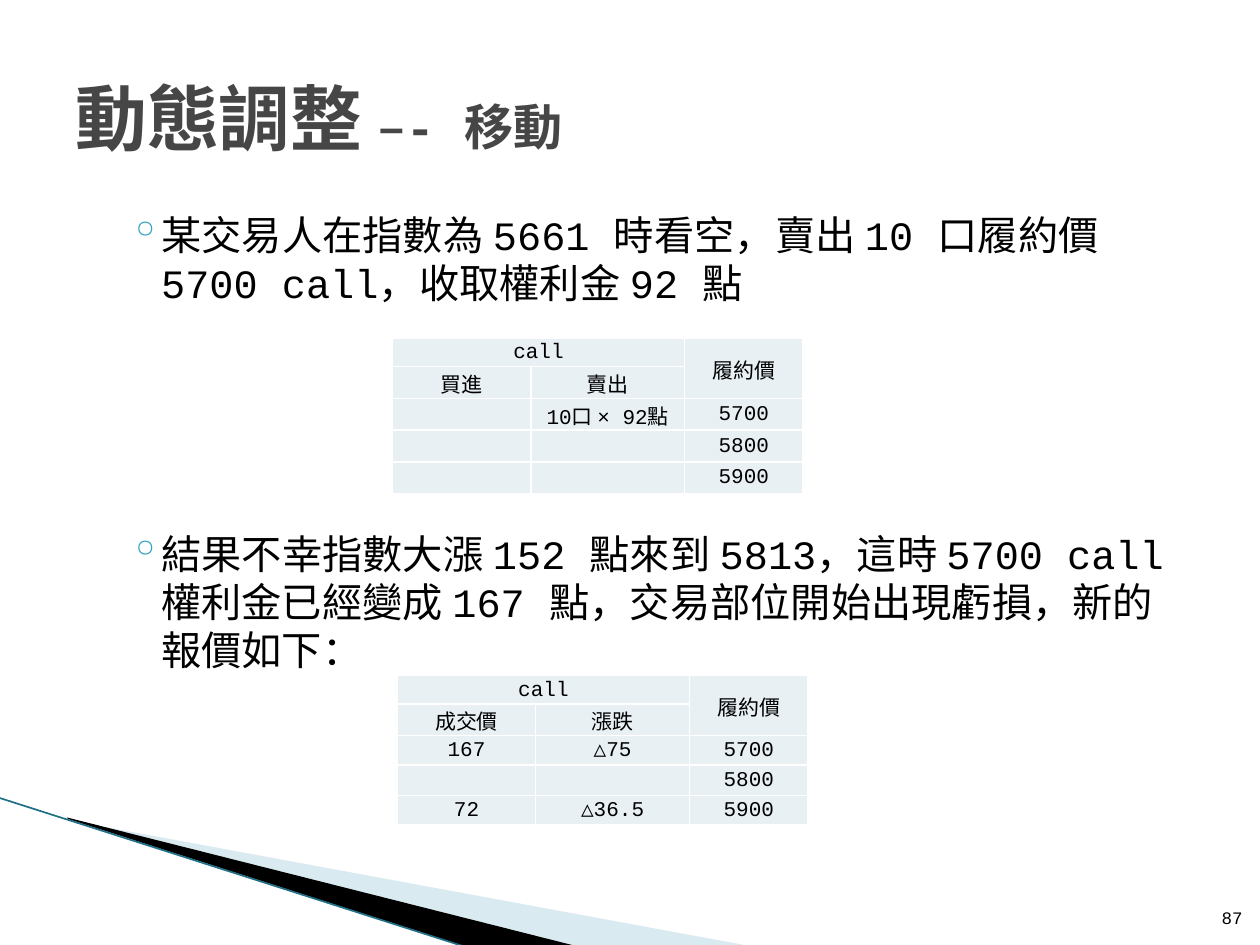
from lxml import etree
from pptx import Presentation, util as u
from pptx.dml.color import RGBColor
from pptx.enum import shapes, text
from pptx.oxml import ns

FONT = "Courier New"
COLORS = {
    "title": "464646",
    "text": "000000",
    "bullet": "2DA2BF",
    "cell": "E8F0F4",
    "pale": "A0CBDC",
    "wedge": "000000",
    "edge": "1F7086",
}
COLUMN_WIDTHS = [2.79, 3.1, 2.39]
POSITION_ROWS = [
    ["call", "", "履約價"],
    ["買進", "賣出", ""],
    ["", "10口 × 92點", "5700"],
    ["", "", "5800"],
    ["", "", "5900"],
]
QUOTE_ROWS = [
    ["call", "", "履約價"],
    ["成交價", "漲跌", ""],
    ["167", "△75", "5700"],
    ["", "", "5800"],
    ["72", "△36.5", "5900"],
]
STATEMENTS = [
    "某交易人在指數為 5661 時看空，賣出 10 口履約價 5700 call，收取權利金 92 點",
    "結果不幸指數大漲 152 點來到 5813，這時 5700 call 權利金已經變成 167 點，"
    "交易部位開始出現虧損，新的報價如下：",
]


def color(name):
    return RGBColor.from_string(COLORS[name])


def add_child(parent, tag, **attributes):
    return etree.SubElement(parent, ns.qn(tag), attributes)


def write(paragraph, words, size=12, ink="text", bold=False, align=None):
    if align is not None:
        paragraph.alignment = align
    run = paragraph.add_run()
    run.text = words
    run.font.name = FONT
    run.font.size = u.Pt(size)
    run.font.bold = bold
    run.font.color.rgb = color(ink)


def add_box(slide, left, top, width, height, anchor):
    shape = slide.shapes.add_textbox(u.Cm(left), u.Cm(top), u.Cm(width), u.Cm(height))
    frame = shape.text_frame
    frame.word_wrap = True
    frame.vertical_anchor = anchor
    return frame


def add_bullet(paragraph):
    properties = paragraph._p.get_or_add_pPr()
    properties.set("marL", str(u.Cm(1.73)))
    properties.set("indent", str(u.Cm(-0.64)))
    bullet_color = add_child(properties, "a:buClr")
    add_child(bullet_color, "a:srgbClr", val=COLORS["bullet"])
    add_child(properties, "a:buChar", char="◦")


def add_wedge(slide, points, fill, alpha=None):
    corners = [(u.Cm(x), u.Cm(y)) for x, y in points]
    builder = slide.shapes.build_freeform(*corners[0])
    builder.add_line_segments(corners[1:], close=True)
    shape = builder.convert_to_shape()
    shape.shadow.inherit = False
    shape.fill.solid()
    shape.fill.fore_color.rgb = color(fill)
    shape.line.fill.background()
    if alpha is not None:
        paint = shape._element.spPr.find(".//" + ns.qn("a:srgbClr"))
        add_child(paint, "a:alpha", val=str(alpha * 1000))


def add_edge(slide, start, end):
    line = slide.shapes.add_connector(
        shapes.MSO_CONNECTOR.STRAIGHT, *[u.Cm(value) for value in start + end])
    line.line.color.rgb = color("edge")
    line.line.width = u.Pt(0.95)
    add_child(line._element.spPr, "a:effectLst")


def fill_cell(cell, words):
    cell.fill.solid()
    cell.fill.fore_color.rgb = color("cell")
    cell.vertical_anchor = text.MSO_ANCHOR.MIDDLE
    cell.margin_left = cell.margin_right = cell.margin_top = u.Cm(0.03)
    cell.margin_bottom = 0
    paragraph = cell.text_frame.paragraphs[0]
    if words:
        write(paragraph, words, align=text.PP_ALIGN.CENTER)
    else:
        add_child(paragraph._p, "a:endParaRPr", sz="1200")


def add_price_table(slide, left, top, rows, heights):
    shape = slide.shapes.add_table(
        len(rows), len(COLUMN_WIDTHS), u.Cm(left), u.Cm(top),
        u.Cm(sum(COLUMN_WIDTHS)), u.Cm(sum(heights)))
    table = shape.table
    table.first_row = table.horz_banding = False
    for column, width in zip(table.columns, COLUMN_WIDTHS):
        column.width = u.Cm(width)
    for row, height, values in zip(table.rows, heights, rows):
        row.height = u.Cm(height)
        for cell, words in zip(row.cells, values):
            fill_cell(cell, words)
    table.cell(0, 0).merge(table.cell(0, 1))
    table.cell(0, 2).merge(table.cell(1, 2))


def main():
    presentation = Presentation()
    presentation.slide_width, presentation.slide_height = u.Cm(25.4), u.Cm(19.05)
    slide = presentation.slides.add_slide(presentation.slide_layouts[6])

    add_wedge(slide, [(1.4, 16.54), (15.11, 19.07), (11.58, 19.07), (1.4, 16.51)],
              "pale", alpha=40)
    add_wedge(slide, [(1.35, 16.48), (11.61, 19.07), (9.45, 19.1), (1.37, 16.51)],
              "wedge")
    add_edge(slide, (-0.03, 16.08), (9.42, 19.1))

    body = add_box(slide, 1.27, 4.11, 22.86, 12.57, text.MSO_ANCHOR.TOP)
    for index, statement in enumerate(STATEMENTS):
        paragraph = body.add_paragraph() if index else body.paragraphs[0]
        add_bullet(paragraph)
        if index:
            paragraph.space_before = u.Pt(127)
        write(paragraph, statement, size=23)

    number = add_box(slide, 24.03, 17.81, 1.02, 1.02, text.MSO_ANCHOR.BOTTOM)
    number.margin_left = number.margin_right = 0
    write(number.paragraphs[0], "87", size=10, align=text.PP_ALIGN.RIGHT)

    title = add_box(slide, 1.27, 0.76, 22.86, 3.18, text.MSO_ANCHOR.MIDDLE)
    for words, size in [("動態調整 ", 41), ("–- 移動", 28)]:
        write(title.paragraphs[0], words, size=size, ink="title", bold=True)

    add_price_table(slide, 7.91, 6.82, POSITION_ROWS, [0.57] + [0.64] * 4)
    add_price_table(slide, 8.01, 13.62, QUOTE_ROWS, [0.57, 0.64, 0.59, 0.62, 0.59])
    presentation.save("out.pptx")


if __name__ == "__main__":
    main()
